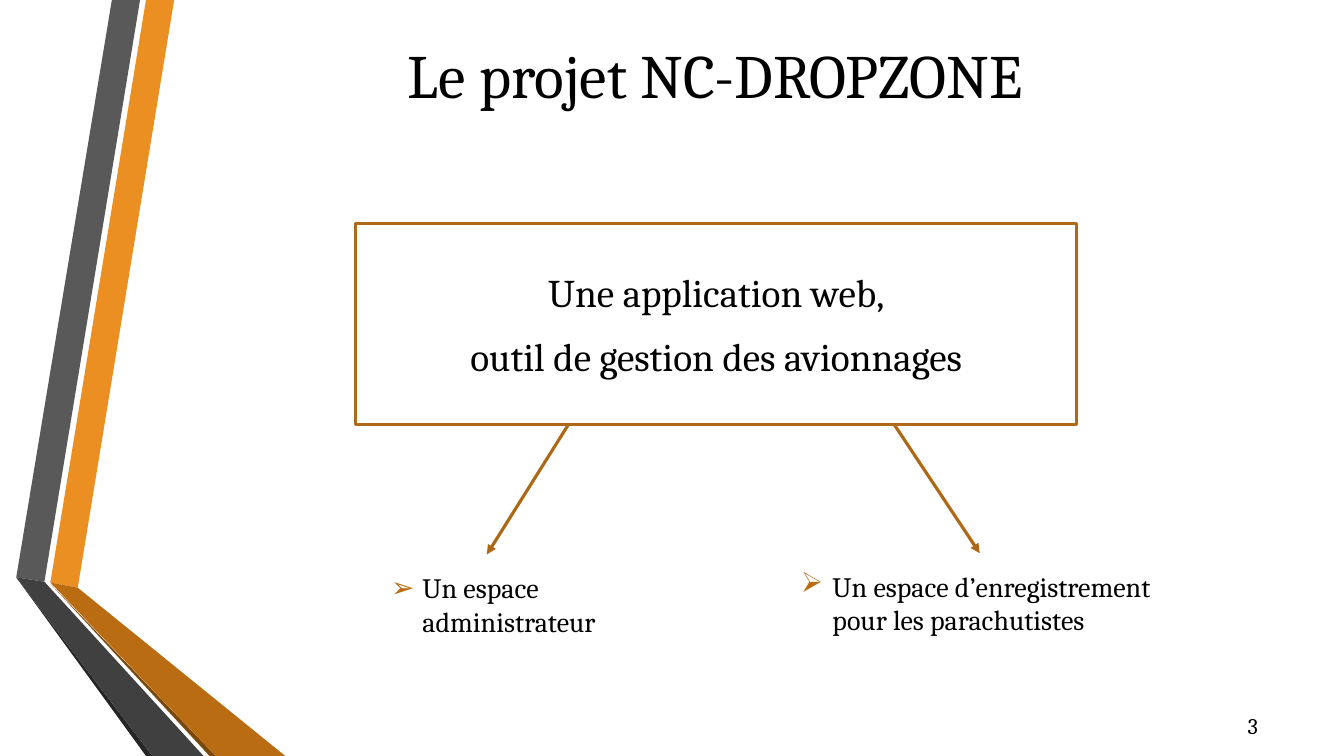
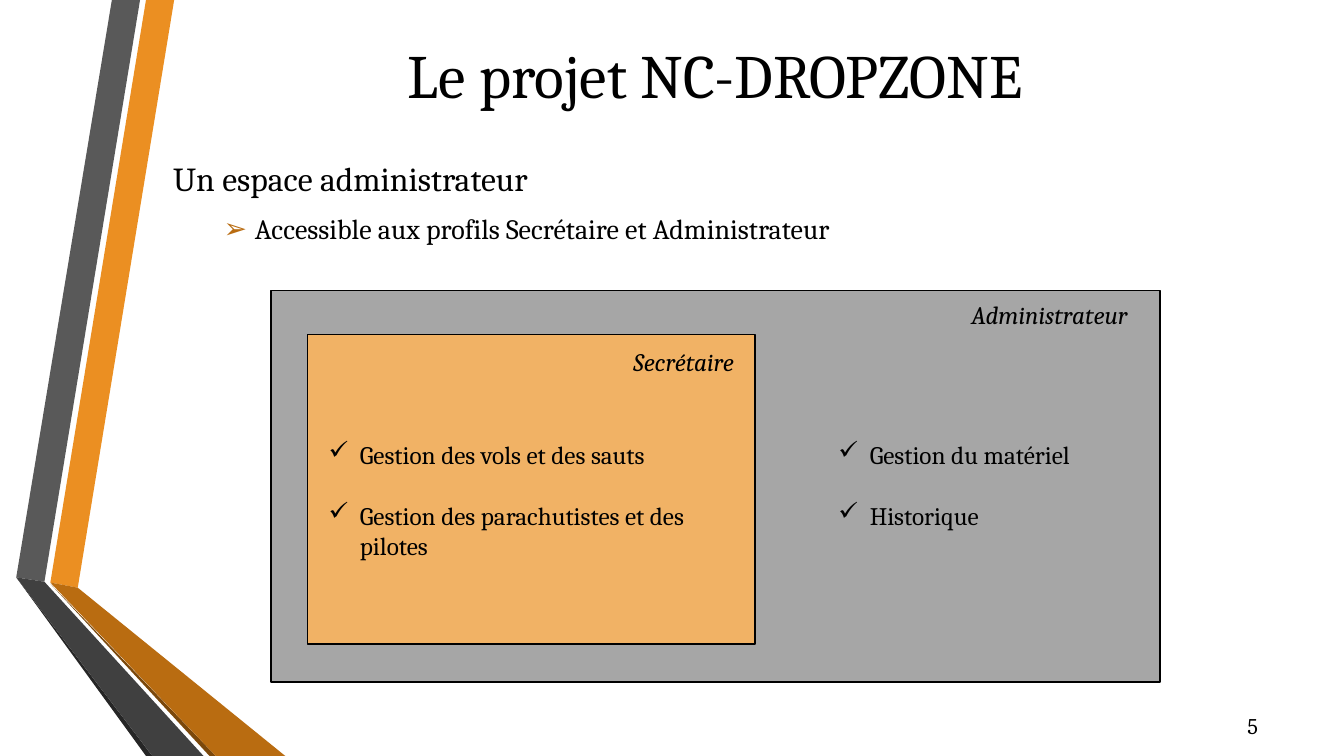
from lxml.etree import SubElement as Sub
from pptx import Presentation
from pptx.dml.color import RGBColor as Rgb
from pptx.enum.shapes import MSO_CONNECTOR as Conn, MSO_SHAPE as Form
from pptx.enum.text import MSO_ANCHOR as Anchor, MSO_AUTO_SIZE as Fit, PP_ALIGN as Align
from pptx.oxml.ns import qn
from pptx.util import Cm, Pt

# Shared look
FONT = "Cambria"
TITLE = "Le projet NC-DROPZONE"
COLORS = {
    "text": "000000", "bullet": "B96C11", "frame": "AE6A19", "arrow": "AD6816",
    "admin": "A6A6A6", "clerk": "F1B265",
    "orange": "EB8F22", "gray": "595959", "black": "262626",
    "brown": "7B480B", "amber": "B96C11", "dark": "404040",
}
WIDE, HIGH = 33.87, 19.05
STEP = 0.79  # hanging indent of bullets

# Ribbon outlines in centimetres, back to front
RIBBONS = [
    ("orange", [(1.27, 14.68), (1.96, 14.81), (4.39, 0), (3.68, 0)]),
    ("gray", [(3.53, 0), (2.82, 0), (0.41, 14.55), (1.12, 14.66)]),
    ("black", [(0.41, 14.55), (3.68, HIGH), (3.84, HIGH)]),
    ("brown", [(1.27, 14.71), (5.28, HIGH), (5.44, HIGH)]),
    ("amber", [(1.27, 14.68), (5.44, HIGH), (7.19, HIGH), (1.96, 14.81)]),
    ("dark", [(0.41, 14.55), (3.84, HIGH), (5.13, HIGH), (1.12, 14.66)]),
]


def color(name):
    return Rgb.from_string(COLORS[name])


def place(shape, box):
    shape.left, shape.top, shape.width, shape.height = map(Cm, box)


def style(para, size, align=Align.LEFT, italic=False, before=0, after=0):
    para.alignment = align
    para.space_before, para.space_after = Pt(before), Pt(after)
    font = para.font
    font.name, font.size, font.italic = FONT, Pt(size), italic
    font.color.rgb = color("text")


def bullet(para, char, left, tint="text"):
    """Give a paragraph a hanging bullet, or none if char is empty."""
    props = para._p.get_or_add_pPr()
    props.set("marL", str(Cm(left)))
    props.set("indent", str(-Cm(STEP) if char else 0))
    if char:
        Sub(Sub(props, qn("a:buClr")), qn("a:srgbClr"), val=COLORS[tint])
        Sub(props, qn("a:buChar"), char=char)
    else:
        Sub(props, qn("a:buNone"))


def fill_text(shape, lines, anchor=Anchor.TOP):
    """Write the lines into a shape and return its paragraphs."""
    frame = shape.text_frame
    frame.text = "\n".join(lines)
    frame.word_wrap, frame.auto_size = True, Fit.NONE
    frame.vertical_anchor = anchor
    return frame.paragraphs


def add_text(slide, box, lines, anchor=Anchor.TOP):
    return fill_text(slide.shapes.add_textbox(*map(Cm, box)), lines, anchor)


def add_label(slide, box, text):
    style(add_text(slide, box, [text])[0], 18, Align.CENTER, italic=True)


def add_checks(slide, box, lines):
    for para in add_text(slide, box, lines):
        bullet(para, "✓", STEP)
        style(para, 18, after=22)


def style_item(para):
    bullet(para, "➢", 2.06, "bullet")
    style(para, 20, before=4, after=6)


def add_panel(slide, box, line, width, fill=None):
    panel = slide.shapes.add_shape(Form.RECTANGLE, *map(Cm, box))
    panel.shadow.inherit = False
    if fill:
        panel.fill.solid()
        panel.fill.fore_color.rgb = color(fill)
    else:
        panel.fill.background()
    panel.line.color.rgb, panel.line.width = color(line), Pt(width)
    return panel


def add_arrow(slide, start, end):
    arrow = slide.shapes.add_connector(Conn.STRAIGHT, *map(Cm, start + end))
    arrow.line.color.rgb, arrow.line.width = color("arrow"), Pt(2.25)
    props = arrow.element.spPr
    Sub(props.find(qn("a:ln")), qn("a:tailEnd"), type="triangle")
    Sub(props, qn("a:effectLst"))


def add_ribbons(slide, layout):
    """Draw the ribbons and move them to the back of the layout."""
    tree = layout.element.cSld.spTree
    for spot, (name, points) in enumerate(RIBBONS, 2):
        first, *rest = [(Cm(x), Cm(y)) for x, y in points]
        path = slide.shapes.build_freeform(*first)
        path.add_line_segments(rest, close=True)
        band = path.convert_to_shape()
        band.shadow.inherit = False
        band.fill.solid()
        band.fill.fore_color.rgb = color(name)
        band.line.fill.background()
        tree.insert(spot, band.element)


def add_slide(deck, layout, number):
    """Start a slide with its title and page number; return it with its body."""
    slide = deck.slides.add_slide(layout)
    title, body = slide.placeholders
    place(title, (4.11, 0.43, 27.84, 2.84))
    style(fill_text(title, [TITLE], Anchor.MIDDLE)[0], 44, Align.CENTER)
    page = add_text(slide, (30.43, 17.78, 1.52, 1.02), [number], Anchor.MIDDLE)
    style(page[0], 16, Align.RIGHT)
    return slide, body


def fill_project(slide, body):
    # Framed statement
    frame = add_panel(slide, (8.97, 5.64, 18.16, 5.05), "frame", 2.25)
    lines = ["Une application web,", "outil de gestion des avionnages"]
    for para in fill_text(frame, lines, Anchor.MIDDLE):
        style(para, 28, Align.CENTER, before=5.6, after=6)

    # Arrows to the two areas
    add_arrow(slide, (14.33, 10.69), (12.27, 13.97))
    add_arrow(slide, (22.53, 10.69), (24.69, 13.94))
    place(body, (8.33, 13.97, 7.87, 2.51))
    left = fill_text(body, ["Un espace administrateur"], Anchor.MIDDLE)[0]
    left.level = 1
    right = add_text(slide, (18.67, 13.94, 12.04, 2.51),
                     ["Un espace d’enregistrement pour les parachutistes"],
                     Anchor.MIDDLE)[0]
    for para in (left, right):
        style_item(para)


def fill_admin(slide, body):
    # Introduction
    place(body, (4.11, 3.84, 27.84, 13.36))
    head, item = fill_text(body, [
        "Un espace administrateur",
        "Accessible aux profils Secrétaire et Administrateur"])
    bullet(head, "", 0)
    style(head, 24, before=4.8, after=6)
    item.level = 1
    style_item(item)

    # Nested profiles
    add_panel(slide, (6.83, 7.32, 22.4, 9.86), "text", 1.25, "admin")
    add_panel(slide, (7.75, 8.43, 11.28, 7.8), "text", 1.25, "clerk")
    add_label(slide, (15.44, 8.61, 3.58, 1.02), "Secrétaire")
    add_label(slide, (23.65, 7.42, 5.59, 1.02), "Administrateur")
    add_checks(slide, (8.03, 10.95, 10.97, 3.33), [
        "Gestion des vols et des sauts",
        "Gestion des parachutistes et des pilotes"])
    add_checks(slide, (20.88, 10.95, 8.28, 2.57),
               ["Gestion du matériel", "Historique"])


def main():
    deck = Presentation()
    deck.slide_width, deck.slide_height = Cm(WIDE), Cm(HIGH)
    layout = deck.slide_layouts[1]

    slide, body = add_slide(deck, layout, "3")
    add_ribbons(slide, layout)
    fill_project(slide, body)

    fill_admin(*add_slide(deck, layout, "5"))
    deck.save("out.pptx")


if __name__ == "__main__":
    main()
